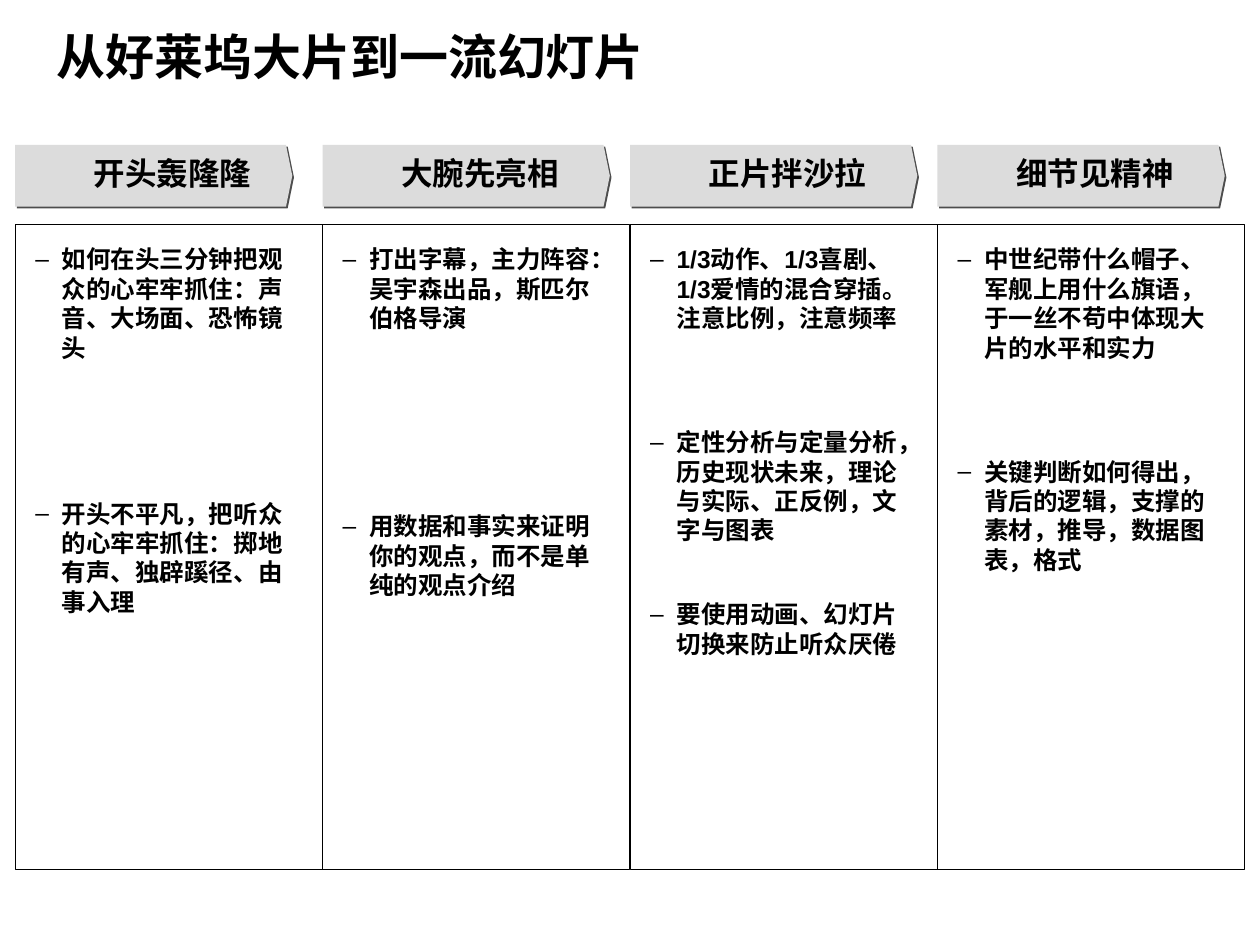
from lxml import etree
from pptx import Presentation
from pptx.dml.color import RGBColor
from pptx.enum.shapes import MSO_SHAPE
from pptx.enum.text import MSO_ANCHOR, MSO_AUTO_SIZE, PP_ALIGN
from pptx.oxml.ns import qn
from pptx.util import Inches, Pt

RECTANGLE = MSO_SHAPE.RECTANGLE
TOP, MIDDLE = MSO_ANCHOR.TOP, MSO_ANCHOR.MIDDLE
LEFT, CENTER = PP_ALIGN.LEFT, PP_ALIGN.CENTER
NO_AUTOFIT = MSO_AUTO_SIZE.NONE

FONT = "Arial"
BLACK, GREY, SHADOW = "000000", "DCDCDC", "4D4D4D"
COMPARISON_LAYOUT = 4
GRID_LEFT, COLUMN_WIDTH = 0.12, 2.44
BANNER_TOP, BANNER_HEIGHT, BANNER_TIP = 1.15, 0.49, 0.05
PANEL_TOP, PANEL_HEIGHT = 1.78, 5.12

TITLE = "从好莱坞大片到一流幻灯片"
COLUMNS = [
    ("开头轰隆隆", 2.2, [
        ("如何在头三分钟把观众的心牢牢抓住：声音、大场面、恐怖镜头", 0),
        ("开头不平凡，把听众的心牢牢抓住：掷地有声、独辟蹊径、由事入理", 78),
    ]),
    ("大腕先亮相", 2.28, [
        ("打出字幕，主力阵容：吴宇森出品，斯匹尔伯格导演", 0),
        ("用数据和事实来证明你的观点，而不是单纯的观点介绍", 102),
    ]),
    ("正片拌沙拉", 2.28, [
        ("1/3动作、1/3喜剧、1/3爱情的混合穿插。注意比例，注意频率", 0),
        ("定性分析与定量分析，历史现状未来，理论与实际、正反例，文字与图表", 54),
        ("要使用动画、幻灯片切换来防止听众厌倦", 31),
    ]),
    ("细节见精神", 2.28, [
        ("中世纪带什么帽子、军舰上用什么旗语，于一丝不苟中体现大片的水平和实力", 0),
        ("关键判断如何得出，背后的逻辑，支撑的素材，推导，数据图表，格式", 54),
    ]),
]


def color(value):
    return RGBColor.from_string(value)


def add_child(parent, tag, **attributes):
    return etree.SubElement(parent, qn(tag), attributes)


def place(shape, left, top, width, height):
    shape.left, shape.top = Inches(left), Inches(top)
    shape.width, shape.height = Inches(width), Inches(height)


def set_frame(frame, anchor, margin_x=0, margin_y=0):
    frame.word_wrap = True
    frame.auto_size = NO_AUTOFIT
    frame.vertical_anchor = anchor
    frame.margin_left = frame.margin_right = Inches(margin_x)
    frame.margin_top = frame.margin_bottom = Inches(margin_y)


def add_run(paragraph, text, size):
    run = paragraph.add_run()
    run.text = text
    run.font.name = FONT
    run.font.size = Pt(size)
    run.font.bold = True
    run.font.color.rgb = color(BLACK)
    add_child(run.font._element, "a:ea", typeface=FONT)


def fill_title(slide):
    title = slide.shapes.title
    place(title, 0.35, 0.13, 7.33, 0.63)
    set_frame(title.text_frame, MIDDLE, 0.1, 0.05)
    paragraph = title.text_frame.paragraphs[0]
    paragraph.alignment = LEFT
    add_run(paragraph, TITLE, 28)


def add_banner(slide, left, width):
    right, bottom = left + width, BANNER_TOP + BANNER_HEIGHT
    corners = [
        (left, BANNER_TOP),
        (right - BANNER_TIP, BANNER_TOP),
        (right, BANNER_TOP + BANNER_HEIGHT / 2),
        (right - BANNER_TIP, bottom),
        (left, bottom),
    ]
    points = [(Inches(x), Inches(y)) for x, y in corners]
    builder = slide.shapes.build_freeform(*points[0])
    builder.add_line_segments(points[1:], close=True)
    banner = builder.convert_to_shape()
    banner.fill.solid()
    banner.fill.fore_color.rgb = color(GREY)
    banner.line.fill.background()
    banner.shadow.inherit = False
    effects = banner._element.spPr.find(qn("a:effectLst"))
    shadow = add_child(effects, "a:outerShdw", dist=str(Pt(1.4)),
                       dir="2700000", algn="ctr", rotWithShape="0")
    add_child(shadow, "a:srgbClr", val=SHADOW)


def add_panel(slide, left):
    panel = slide.shapes.add_shape(
        RECTANGLE, Inches(left), Inches(PANEL_TOP),
        Inches(COLUMN_WIDTH), Inches(PANEL_HEIGHT))
    panel.shadow.inherit = False
    panel.fill.background()
    panel.line.color.rgb = color(BLACK)
    panel.line.width = Pt(0.5)


def add_heading(slide, left, text):
    heading = slide.shapes.add_textbox(
        Inches(left + 0.14), Inches(1.22), Inches(2.22), Inches(0.3))
    set_frame(heading.text_frame, MIDDLE)
    paragraph = heading.text_frame.paragraphs[0]
    paragraph.alignment = CENTER
    add_run(paragraph, text, 18)


def add_dash(paragraph):
    properties = paragraph._p.get_or_add_pPr()
    indent = Inches(0.21)
    properties.set("marL", str(indent))
    properties.set("indent", str(-indent))
    bullet_color = add_child(properties, "a:buClr")
    add_child(bullet_color, "a:srgbClr", val=BLACK)
    add_child(properties, "a:buFont", typeface=FONT)
    add_child(properties, "a:buChar", char="–")


def fill_list(placeholder, left, items):
    place(placeholder, left + 0.16, 1.94, 1.97, 3.29)
    frame = placeholder.text_frame
    set_frame(frame, TOP)
    for index, (text, space_before) in enumerate(items):
        paragraph = frame.add_paragraph() if index else frame.paragraphs[0]
        add_dash(paragraph)
        paragraph.alignment = LEFT
        paragraph.line_spacing = Pt(16.8)
        paragraph.space_before = Pt(space_before)
        paragraph.space_after = Pt(0)
        add_run(paragraph, text, 14)


def main():
    presentation = Presentation()
    presentation.slide_width = Inches(10)
    presentation.slide_height = Inches(7.5)
    layout = presentation.slide_layouts[COMPARISON_LAYOUT]
    slide = presentation.slides.add_slide(layout)
    fill_title(slide)
    bodies = list(slide.placeholders)[1:]
    for index, (heading, banner_width, items) in enumerate(COLUMNS):
        left = GRID_LEFT + index * COLUMN_WIDTH
        add_banner(slide, left, banner_width)
        add_panel(slide, left)
        add_heading(slide, left, heading)
        fill_list(bodies[index], left, items)
    presentation.save("out.pptx")


if __name__ == "__main__":
    main()
